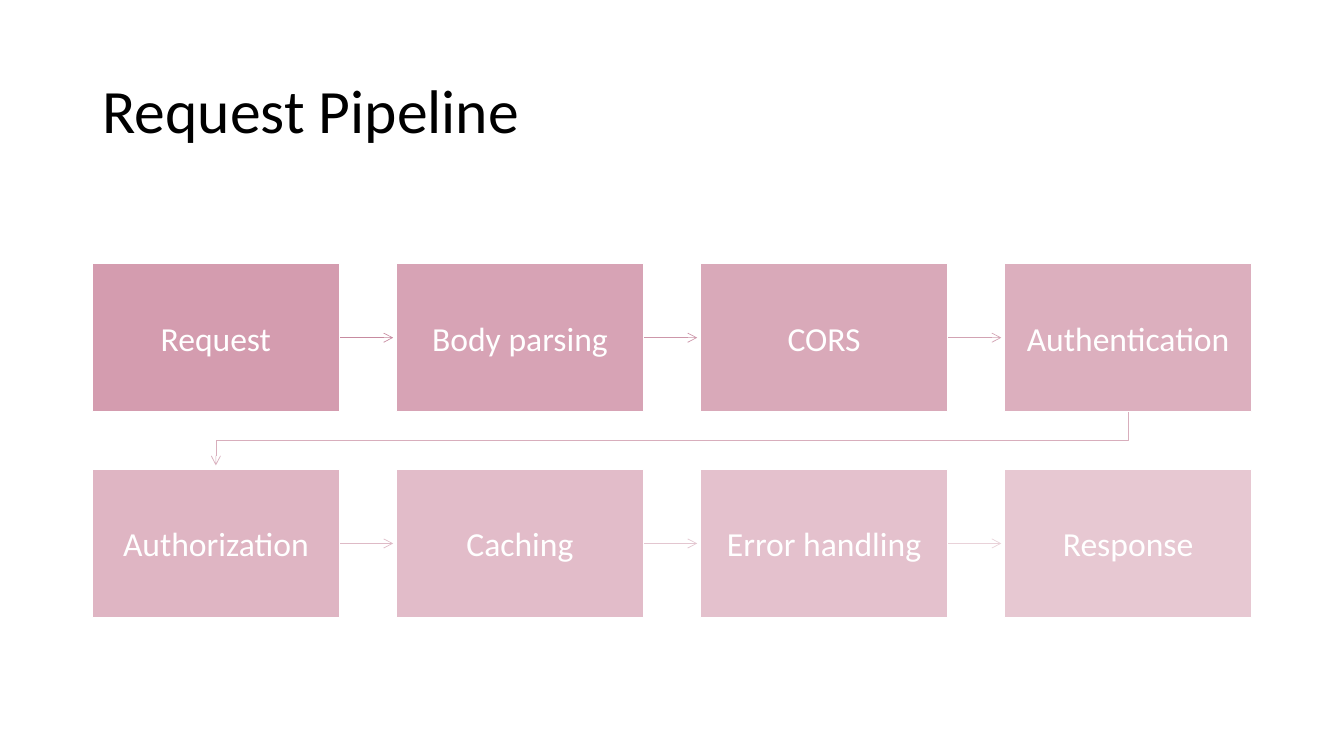
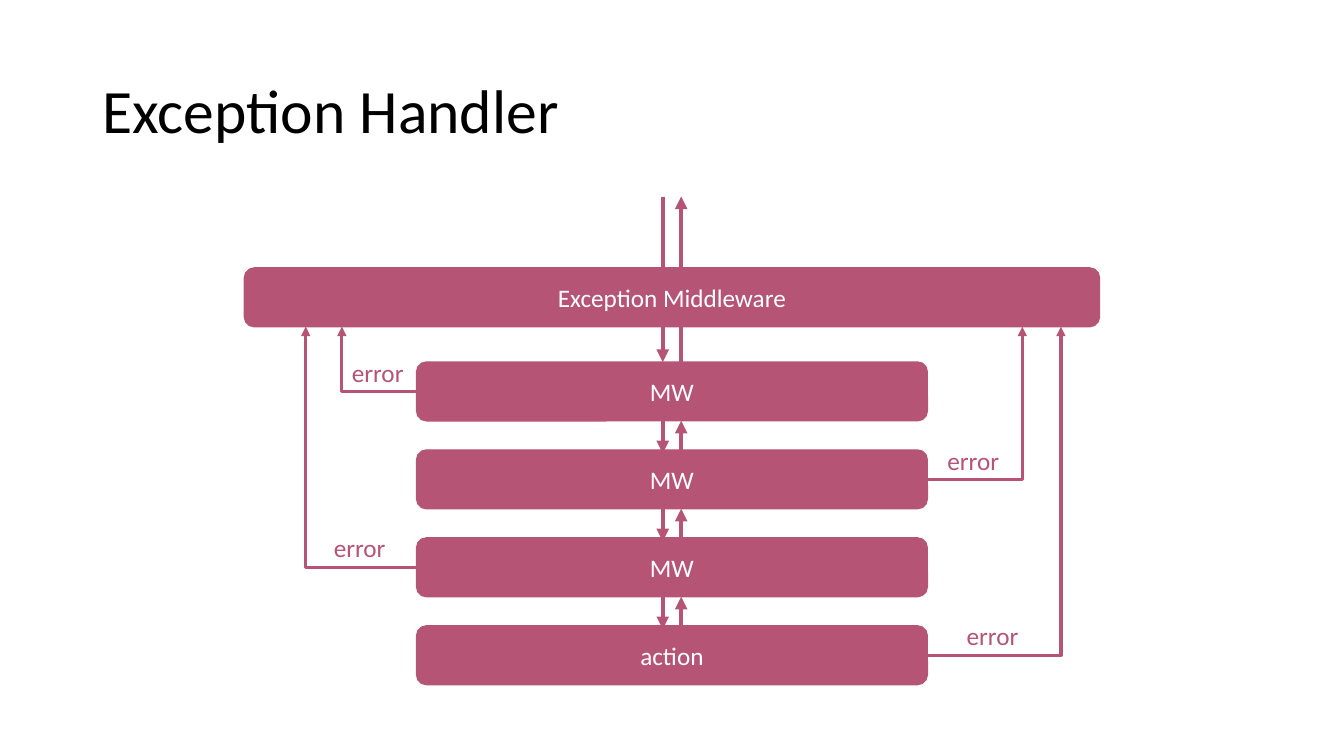
from lxml.etree import SubElement
from pptx import Presentation
from pptx.dml.color import RGBColor
from pptx.enum.shapes import MSO_CONNECTOR, MSO_SHAPE
from pptx.enum.text import MSO_ANCHOR, MSO_AUTO_SIZE, PP_ALIGN
from pptx.oxml.ns import qn
from pptx.util import Inches, Pt

WHITE = RGBColor(0xFF, 0xFF, 0xFF)
BLACK = RGBColor(0x00, 0x00, 0x00)
ROSE = RGBColor(0xB5, 0x54, 0x75)
PINK = RGBColor(0xD0, 0x92, 0xA7)
ARROW_DARK = RGBColor(0xC7, 0x8B, 0xA0)
ARROW_LIGHT = RGBColor(0xE9, 0xD2, 0xD9)
FONT = "Calibri"
COLUMNS, ROWS = 160, 90


def blend(start, end, share):
    """Return the colour that lies the given share of the way from start to end."""
    return RGBColor(*(round(a + (b - a) * share) for a, b in zip(start, end)))


class Deck:
    """Draw styled elements on slides, measured in grid columns and rows."""

    def __init__(self):
        self.presentation = Presentation()
        self.presentation.slide_width = Inches(13.33)
        self.presentation.slide_height = Inches(7.5)
        self.slide = None

    def point(self, column, row):
        return (round(self.presentation.slide_width * column / COLUMNS),
                round(self.presentation.slide_height * row / ROWS))

    def area(self, left, top, width, height):
        return self.point(left, top) + self.point(width, height)

    def set_text(self, shape, text, size, color, align=PP_ALIGN.CENTER, spacing=1.0):
        shape.text_frame.text = text
        paragraph = shape.text_frame.paragraphs[0]
        paragraph.alignment = align
        paragraph.line_spacing = spacing
        font = paragraph.runs[0].font
        font.name, font.size, font.color.rgb = FONT, Pt(size), color

    def add_slide(self, title):
        layout = self.presentation.slide_layouts.get_by_name("Title Only")
        self.slide = self.presentation.slides.add_slide(layout)
        shape = self.slide.shapes.title
        shape.left, shape.top, shape.width, shape.height = self.area(11, 4.8, 138, 17.4)
        shape.text_frame.vertical_anchor = MSO_ANCHOR.MIDDLE
        shape.text_frame.auto_size = MSO_AUTO_SIZE.NONE
        self.set_text(shape, title, 44, BLACK, PP_ALIGN.LEFT, 0.9)

    def box(self, kind, area, text, size, fill, outline, opacity=100):
        shape = self.slide.shapes.add_shape(kind, *self.area(*area))
        shape.shadow.inherit = False
        shape.fill.solid()
        shape.fill.fore_color.rgb = fill
        if opacity < 100:
            color = shape.element.spPr.find(qn("a:solidFill"))[0]
            SubElement(color, qn("a:alpha"), val=str(round(opacity * 1000)))
        shape.line.color.rgb = outline
        shape.line.width = Pt(1)
        shape.text_frame.vertical_anchor = MSO_ANCHOR.MIDDLE
        shape.text_frame.word_wrap = True
        self.set_text(shape, text, size, WHITE)

    def label(self, area, text):
        shape = self.slide.shapes.add_textbox(*self.area(*area))
        shape.text_frame.word_wrap = False
        shape.text_frame.auto_size = MSO_AUTO_SIZE.SHAPE_TO_FIT_TEXT
        self.set_text(shape, text, 18, ROSE, PP_ALIGN.LEFT)

    def style_arrow(self, shape, color, width, head):
        shape.line.color.rgb = color
        shape.line.width = Pt(width)
        properties = shape.element.spPr
        SubElement(properties.find(qn("a:ln")), qn("a:tailEnd"), type=head)
        SubElement(properties, qn("a:effectLst"))

    def arrow(self, start, end, color=ROSE, width=3, head="triangle"):
        connector = self.slide.shapes.add_connector(
            MSO_CONNECTOR.STRAIGHT, *self.point(*start), *self.point(*end))
        self.style_arrow(connector, color, width, head)

    def elbow(self, start, end):
        connector = self.slide.shapes.add_connector(
            MSO_CONNECTOR.ELBOW, *self.point(*start), *self.point(*end))
        connector.element.spPr.find(qn("a:prstGeom")).set("prst", "bentConnector2")
        self.style_arrow(connector, ROSE, 2.25, "triangle")

    def bent_line(self, points, color):
        start, *others = [self.point(*point) for point in points]
        builder = self.slide.shapes.build_freeform(*start)
        builder.add_line_segments(others, close=False)
        shape = builder.convert_to_shape()
        shape.fill.background()
        self.style_arrow(shape, color, 0.5, "arrow")


def add_request_pipeline(deck):
    """Add the two rows of request steps."""
    deck.add_slide("Request Pipeline")
    steps = ["Request", "Body parsing", "CORS", "Authentication",
             "Authorization", "Caching", "Error handling", "Response"]
    per_row, left, top = 4, 11, 31.4
    width, height, column_pitch, row_pitch = 29.4, 17.6, 36.2, 24.5
    arrow_length = 6.4
    last = len(steps) - 1
    for index, step in enumerate(steps):
        row, column = divmod(index, per_row)
        x, y = left + column * column_pitch, top + row * row_pitch
        color = blend(ARROW_DARK, ARROW_LIGHT, index / (last - 1)) if index < last else None
        if column < per_row - 1:
            middle = y + height / 2
            deck.arrow((x + width, middle), (x + width + arrow_length, middle),
                       color, 0.5, "arrow")
        elif index < last:
            center, first_center = x + width / 2, left + width / 2
            turn = y + (height + row_pitch) / 2
            deck.bent_line([(center, y + height), (center, turn), (first_center, turn),
                            (first_center, y + height + arrow_length)], color)
        deck.box(MSO_SHAPE.RECTANGLE, (x, y, width, height), step, 24,
                 PINK, WHITE, 90 - 40 * index / last)


def add_exception_handler(deck):
    """Add the middleware stack with its error paths."""
    deck.add_slide("Exception Handler")
    left, width, height, top, pitch = 49.6, 60.8, 7, 43.1, 10.47
    handler_top, entry_top = 31.9, 23.4
    down, up = 78.9, 81.1
    layers = ["MW", "MW", "MW", "action"]
    tops = [top + index * pitch for index in range(len(layers))]
    for layer, y in zip(layers, tops):
        deck.box(MSO_SHAPE.ROUNDED_RECTANGLE, (left, y, width, height),
                 layer, 18, ROSE, ROSE)
    deck.arrow((down, entry_top), (down, top))
    deck.arrow((up, top), (up, entry_top))
    for y, next_y in zip(tops, tops[1:]):
        deck.arrow((down, y + height), (down, next_y + 0.4))
        deck.arrow((up, next_y), (up, y + height))
    deck.box(MSO_SHAPE.ROUNDED_RECTANGLE, (29.1, handler_top, 101.8, height),
             "Exception Middleware", 18, ROSE, ROSE)
    label_width, label_height, label_rise = 8.9, 5, 4.7
    for y, target in zip(tops, [40.7, 121.7, 36.4, 126.3]):
        edge = left if target < left else left + width
        middle = y + height / 2
        deck.elbow((edge, middle), (target, handler_top + height))
        deck.label(((edge + target - label_width) / 2, middle - label_rise,
                    label_width, label_height), "error")


def main():
    """Build and save the presentation."""
    deck = Deck()
    add_request_pipeline(deck)
    add_exception_handler(deck)
    deck.presentation.save("out.pptx")


if __name__ == "__main__":
    main()
